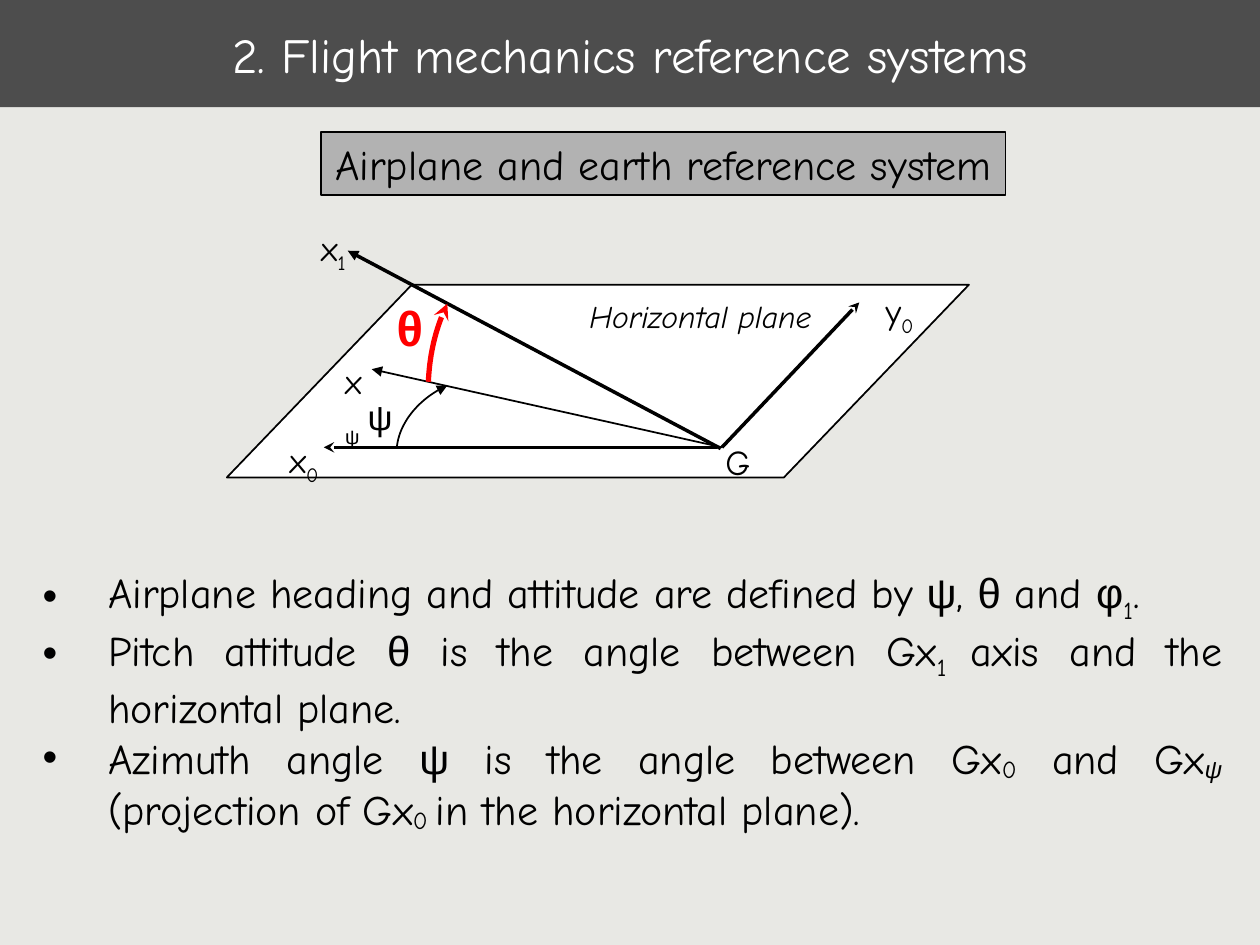
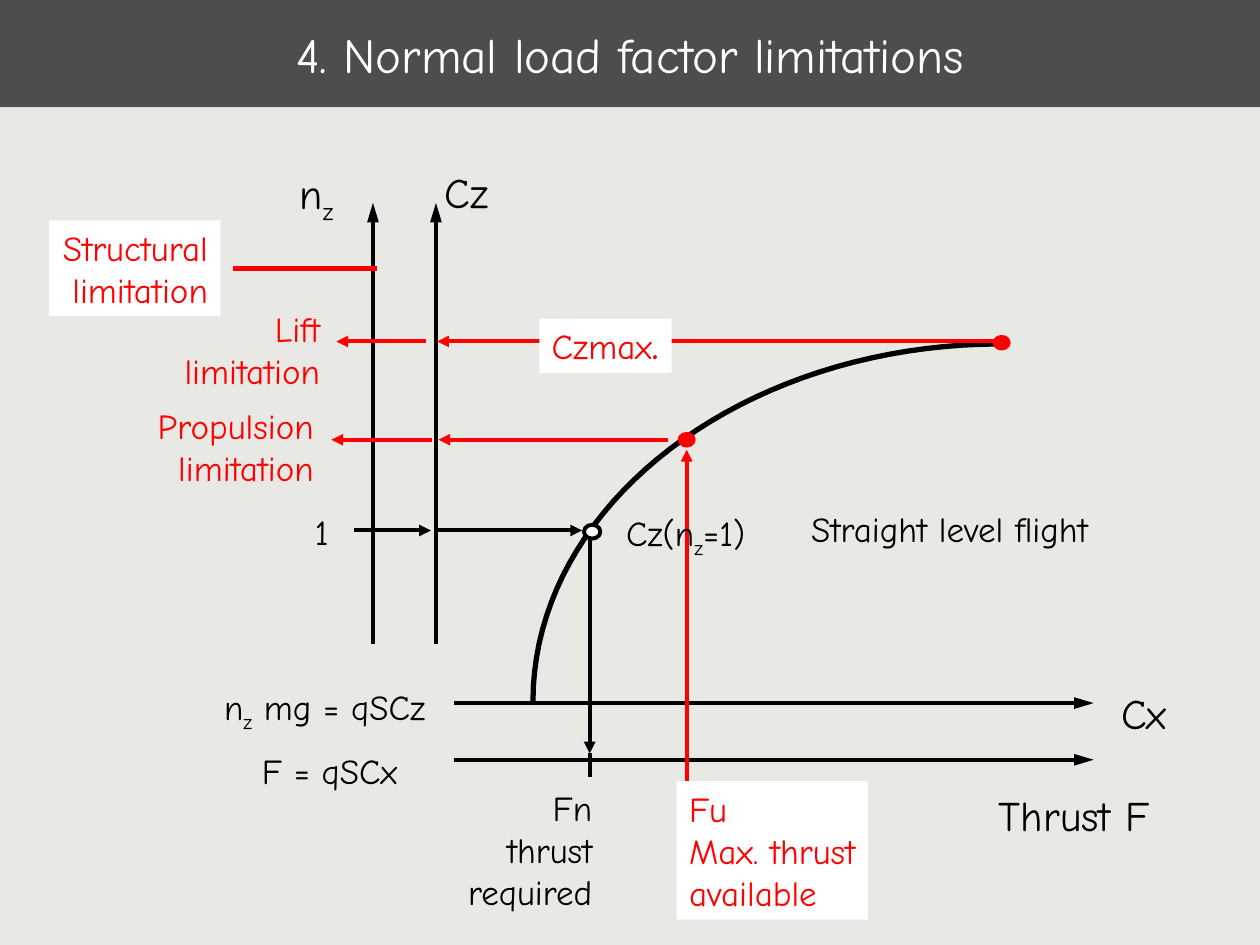
"""Build two flight mechanics slides: reference systems and load factor limits."""
from dataclasses import dataclass
from itertools import groupby
from typing import Optional

import pptx
import pptx.dml.color
import pptx.enum.shapes
import pptx.enum.text
import pptx.oxml
import pptx.oxml.ns
import pptx.util

WIDTH, HEIGHT = pptx.util.Inches(10), pptx.util.Inches(7.5)
COLUMNS, ROWS = 100, 75
BLACK, WHITE, RED = "000000", "FFFFFF", "FF0000"
BACKGROUND, BAND, GREY = "E8E8E4", "4D4D4D", "B2B2B2"
FONT, GREEK_FONT = "Comic Neue", "Arial"
MARKS = {"_": "subscript", "^": "low subscript", "/": "italic", "*": "bold"}
BASELINES = {"subscript": "-25000", "low subscript": "-10000"}
ALIGN = pptx.enum.text.PP_ALIGN
ANCHOR = pptx.enum.text.MSO_ANCHOR
SHAPE = pptx.enum.shapes.MSO_SHAPE


@dataclass
class Label:
    """Text in a box on the grid, one paragraph per line."""
    text: str
    x: float
    y: float
    w: float
    h: float
    size: float = 20
    color: str = BLACK
    align: ALIGN = ALIGN.LEFT
    fill: Optional[str] = None
    line: Optional[str] = None
    wrap: bool = False
    middle: bool = False
    bullet: bool = False


@dataclass
class Arrow:
    """Straight line on the grid with an optional tip at its end."""
    x1: float
    y1: float
    x2: float
    y2: float
    color: str = BLACK
    weight: float = 2.25
    tip: Optional[str] = "triangle"
    tip_length: str = "med"


@dataclass
class Curve:
    """Cubic curve through four control points on the grid."""
    points: tuple
    color: str = BLACK
    weight: float = 3
    tip: Optional[str] = None


@dataclass
class Dot:
    """Small marker on the load curve."""
    x: float
    y: float
    fill: str = RED
    line: str = RED
    weight: float = 1


def col(n: float) -> int:
    """Return the distance of n grid columns."""
    return round(WIDTH * n / COLUMNS)


def row(n: float) -> int:
    """Return the distance of n grid rows."""
    return round(HEIGHT * n / ROWS)


def rgb(value: str) -> pptx.dml.color.RGBColor:
    """Turn a hex string into a colour."""
    return pptx.dml.color.RGBColor.from_string(value)


def paint(shape, fill: Optional[str], line: Optional[str], weight: float = 1) -> None:
    """Set fill and outline; None means neither."""
    if fill:
        shape.fill.solid()
        shape.fill.fore_color.rgb = rgb(fill)
    else:
        shape.fill.background()
    if line:
        shape.line.color.rgb = rgb(line)
        shape.line.width = pptx.util.Pt(weight)
    else:
        shape.line.fill.background()


def add_xml(parent, tag: str, **attributes: str) -> None:
    """Append an empty drawing element to a parent."""
    child = pptx.oxml.parse_xml(f"<a:{tag} {pptx.oxml.ns.nsdecls('a')}/>")
    for name, value in attributes.items():
        child.set(name, value)
    parent.append(child)


def add_tip(shape, tip: Optional[str], length: str = "med") -> None:
    """Put an arrowhead at the end of a line."""
    if tip:
        ln = shape.element.spPr.find(pptx.oxml.ns.qn("a:ln"))
        add_xml(ln, "tailEnd", type=tip, len=length)


def write(p, text: str, size: float, color: str) -> None:
    """Write marked-up text as runs, with Greek letters in their own font."""
    active, letters = set(), []
    for letter in text:
        if letter in MARKS:
            active ^= {MARKS[letter]}
        else:
            letters.append((letter, "α" <= letter <= "ω", frozenset(active)))
    for (greek, styles), group in groupby(letters, key=lambda item: item[1:]):
        r = p.add_run()
        r.text = "".join(item[0] for item in group)
        r.font.name = GREEK_FONT if greek else FONT
        r.font.size = pptx.util.Pt(size)
        r.font.color.rgb = rgb(color)
        r.font.bold = "bold" in styles
        r.font.italic = "italic" in styles
        for style in styles & BASELINES.keys():
            r._r.get_or_add_rPr().set("baseline", BASELINES[style])


def add_bullet(p) -> None:
    """Give a paragraph a hanging bullet."""
    indent = col(5.2)
    pPr = p._p.get_or_add_pPr()
    pPr.set("marL", str(indent))
    pPr.set("indent", str(-indent))
    add_xml(pPr, "buFont", typeface=GREEK_FONT)
    add_xml(pPr, "buChar", char="•")


def add_label(s, label: Label) -> None:
    """Draw a text box."""
    sp = s.shapes.add_textbox(col(label.x), row(label.y), col(label.w), row(label.h))
    paint(sp, label.fill, label.line)
    tf = sp.text_frame
    tf.word_wrap = label.wrap
    if not label.wrap:
        tf.auto_size = pptx.enum.text.MSO_AUTO_SIZE.SHAPE_TO_FIT_TEXT
    tf.vertical_anchor = ANCHOR.MIDDLE if label.middle else ANCHOR.TOP
    for i, line in enumerate(label.text.split("\n")):
        p = tf.add_paragraph() if i else tf.paragraphs[0]
        p.alignment = label.align
        if label.bullet:
            add_bullet(p)
        write(p, line, size=label.size, color=label.color)


def add_arrow(s, arrow: Arrow) -> None:
    """Draw a straight line or arrow."""
    cn = s.shapes.add_connector(pptx.enum.shapes.MSO_CONNECTOR.STRAIGHT,
                                col(arrow.x1), row(arrow.y1), col(arrow.x2), row(arrow.y2))
    cn.line.color.rgb = rgb(arrow.color)
    cn.line.width = pptx.util.Pt(arrow.weight)
    add_tip(cn, arrow.tip, arrow.tip_length)
    add_xml(cn.element.spPr, "effectLst")


def add_curve(s, curve: Curve, steps: int = 40) -> None:
    """Draw a cubic curve as a fine open outline."""
    def at(t: float) -> tuple:
        weights = ((1 - t) ** 3, 3 * t * (1 - t) ** 2, 3 * t * t * (1 - t), t ** 3)
        x, y = (sum(w * v for w, v in zip(weights, axis)) for axis in zip(*curve.points))
        return col(x), row(y)

    builder = s.shapes.build_freeform(*at(0))
    builder.add_line_segments([at(i / steps) for i in range(1, steps + 1)], close=False)
    sp = builder.convert_to_shape()
    sp.shadow.inherit = False
    paint(sp, None, curve.color, curve.weight)
    add_tip(sp, curve.tip)


def add_dot(s, dot: Dot) -> None:
    """Draw a marker centred on its point."""
    w, h = 1.3, 1.1
    sp = s.shapes.add_shape(SHAPE.OVAL, col(dot.x - w / 2), row(dot.y - h / 2), col(w), row(h))
    sp.shadow.inherit = False
    paint(sp, dot.fill, dot.line, dot.weight)


DRAW = {Label: add_label, Arrow: add_arrow, Curve: add_curve, Dot: add_dot}


def add_all(s, items: list) -> None:
    """Draw items from back to front."""
    for item in items:
        DRAW[type(item)](s, item)


def add_slide(prs, title: str):
    """Add a blank slide with the shared background and title band."""
    s = prs.slides.add_slide(prs.slide_layouts[6])
    s.background.fill.solid()
    s.background.fill.fore_color.rgb = rgb(BACKGROUND)
    add_label(s, Label(title, 0, 0, COLUMNS, 8.5, 28, WHITE, ALIGN.CENTER, BAND,
                       wrap=True, middle=True))
    return s


def build_reference_systems(prs) -> None:
    """Build the slide on airplane and earth axes."""
    s = add_slide(prs, "2. Flight mechanics reference systems")
    plane = s.shapes.add_shape(SHAPE.PARALLELOGRAM, col(18), row(22.6), col(58.9), row(15.3))
    plane.adjustments[0] = 0.96
    plane.shadow.inherit = False
    paint(plane, WHITE, BLACK)
    add_all(s, [
        Arrow(57.2, 35.6, 27.6, 19.9, weight=2),
        Arrow(56.9, 35.5, 25.7, 35.5, weight=2, tip="stealth"),
        Arrow(57.3, 35.5, 29.5, 29.3, weight=1),
        Arrow(57.3, 35.5, 68.2, 24, weight=2, tip="stealth"),
        Curve(((34, 30.3), (34.1, 28), (34.6, 26), (35.5, 24.1)), RED, 3, "stealth"),
        Curve(((31.5, 35.5), (31.7, 33.5), (33.3, 31.6), (35.5, 30.6)), BLACK, 1, "triangle"),
        Label("/Horizontal plane/", 45.8, 23.1, 19.7, 4, 18),
        Label("G", 56.6, 34.5, 4, 4.3),
        Label("x_1_", 24.5, 17.5, 5, 4.8, wrap=True),
        Label("y_0_", 69.3, 22.5, 5, 4.8, wrap=True),
        Label("x_0_", 22, 34.3, 5, 4.8, wrap=True),
        Label("ψ", 28.2, 30.9, 3.9, 4.3),
        Label("*θ*", 30.5, 23.1, 4, 5.6, 28, RED),
        Label("x_ψ_", 26.4, 28, 4.4, 4.8),
        Label("Airplane heading and attitude are defined by ψ, θ and φ_1_.\n"
              "Pitch attitude θ is the angle between Gx_1 _axis and the horizontal plane.\n"
              "Azimuth angle ψ is the angle between Gx^0^ and Gx^/ψ/^ "
              "(projection of Gx^0 ^in the horizontal plane).",
              2.4, 44.5, 95.6, 26.2, 24, align=ALIGN.JUSTIFY, wrap=True, bullet=True),
        Label("Airplane and earth reference system", 25.5, 10.5, 54.3, 5, 24,
              align=ALIGN.CENTER, fill=GREY, line=BLACK, middle=True),
    ])


def build_load_factor(prs) -> None:
    """Build the slide on load factor limits."""
    s = add_slide(prs, "4. Normal load factor limitations")
    nz_axis, cz_axis, axis_start, axis_end = 29.6, 34.6, 36, 86.8
    cx_axis, thrust_axis = 55.8, 60.3
    lift, propulsion, level = 27.1, 34.9, 42.1
    required, available = 46.8, 54.5
    add_all(s, [Arrow(x, 51.1, x, 16.1, tip_length="lg") for x in (nz_axis, cz_axis)])
    add_all(s, [Arrow(axis_start, y, axis_end, y, tip_length="lg")
                for y in (cx_axis, thrust_axis)])
    add_all(s, [
        Curve(((42.3, 55.7), (42.3, 40), (59, 27.3), (79.5, 27.3))),
        Arrow(required, 42.5, required, 59.8),
        Arrow(required, 59.8, required, 61.7, tip=None),
        Arrow(18.5, 21.3, 29.9, 21.3, RED, 3, None),
        Arrow(available, 62.4, available, 35.7, RED),
        Arrow(53, propulsion, 34.8, propulsion, RED),
        Arrow(34.3, propulsion, 26.3, propulsion, RED),
        Arrow(79, lift, 34.7, lift, RED),
        Arrow(33.8, lift, 26.7, lift, RED),
        Arrow(28.1, level, 34.2, level),
        Arrow(34.7, level, 46.2, level),
        Dot(available, propulsion),
        Dot(79.5, 27.2),
        Dot(47, 42.2, WHITE, BLACK, 2.25),
        Label("n_z_", 22.8, 12.8, 6.8, 5.5, 24, wrap=True),
        Label("Cz", 34.3, 12.7, 5.5, 5, 24),
        Label("Cx", 88, 54.1, 5.6, 5, 24),
        Label("Thrust F", 78.3, 62.2, 15, 5, 24, wrap=True),
        Label("Structural\nlimitation", 3.9, 17.5, 13.6, 7.6, 20, RED, ALIGN.RIGHT, WHITE),
        Label("Lift\nlimitation", 12.6, 23.9, 13.8, 7.6, 20, RED, ALIGN.RIGHT),
        Label("Propulsion\nlimitation", 11.5, 31.6, 14.4, 7.6, 20, RED, ALIGN.RIGHT),
        Label("Czmax*.*", 42.8, 25.3, 10.5, 4.3, 20, RED, fill=WHITE),
        Label("1", 24, 40, 3.1, 4.3),
        Label("Cz(n_z_=1)", 48.7, 40.1, 16.1, 4.8, wrap=True),
        Label("Straight level flight", 63.4, 39.8, 26, 4.3, wrap=True),
        Label("n_z_ mg = qSCz", 16.8, 53.9, 19, 4.8, wrap=True),
        Label("F = qSCx", 19.8, 59, 15, 4.3, wrap=True),
        Label("Fn\nthrust\nrequired", 36, 61.9, 12, 11, align=ALIGN.RIGHT),
        Label("Fu\nMax. thrust\navailable", 53.7, 62, 15.2, 11, 20, RED, fill=WHITE),
    ])


def main() -> None:
    """Build and save the presentation."""
    prs = pptx.Presentation()
    prs.slide_width, prs.slide_height = WIDTH, HEIGHT
    build_reference_systems(prs)
    build_load_factor(prs)
    prs.save("out.pptx")


if __name__ == "__main__":
    main()
